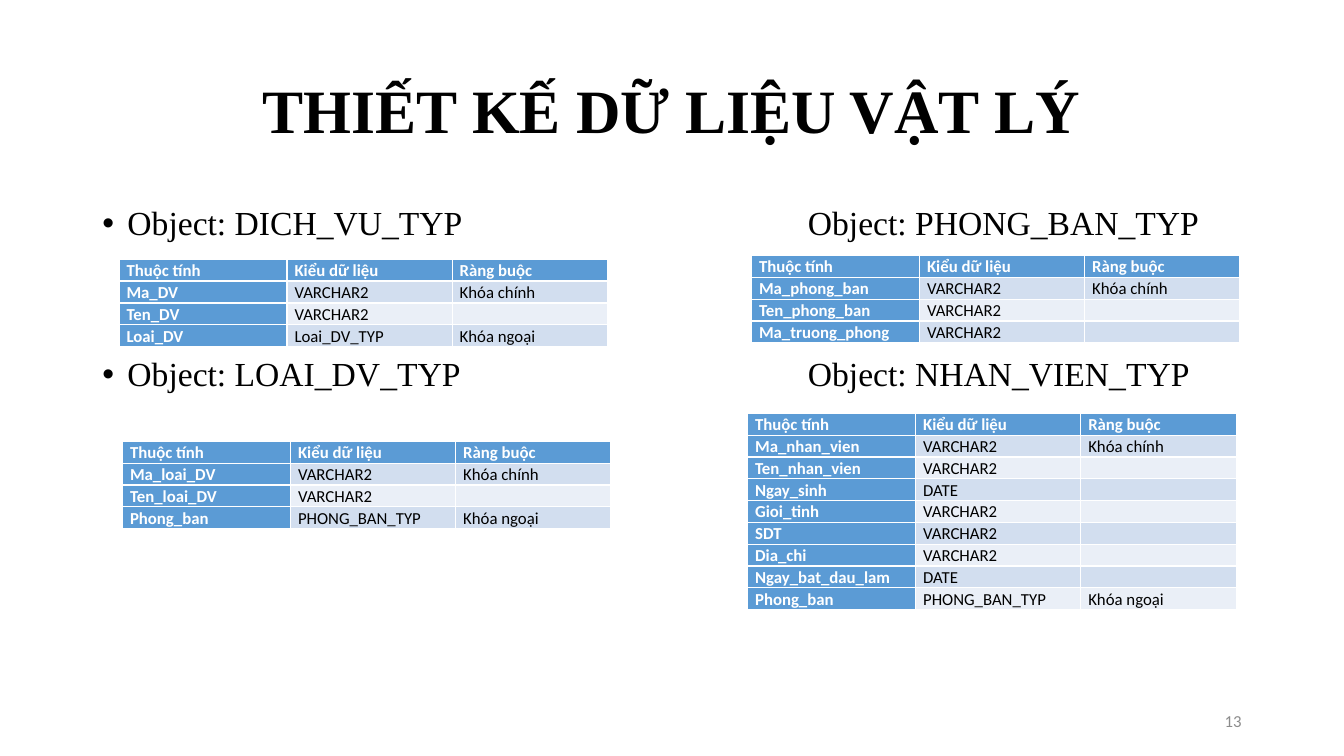
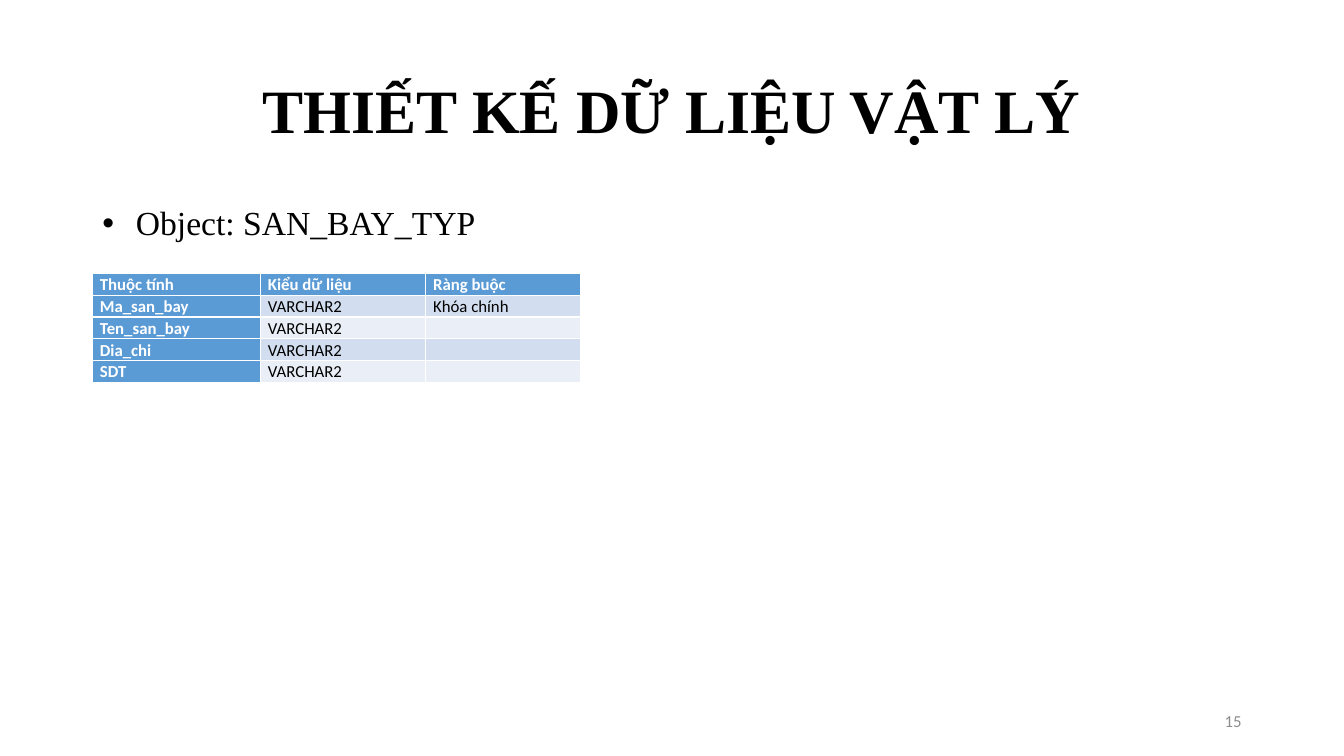
import pptx
import pptx.util
import pptx.dml.color
import pptx.enum.text
import pptx.oxml.ns
import lxml.etree

Pt = pptx.util.Pt
ALIGN = pptx.enum.text.PP_ALIGN
ANCHOR = pptx.enum.text.MSO_ANCHOR
qn = pptx.oxml.ns.qn

HUES = {"ink": "000000", "white": "FFFFFF", "head": "5B9BD5",
        "dark": "D2DEEF", "light": "EAEFF7", "page": "8C8C8C"}
SERIF, SANS = "Times New Roman", "Calibri"
TITLE = "THIẾT KẾ DỮ LIỆU VẬT LÝ"
HEADS = ("Thuộc tính", "Kiểu dữ liệu", "Ràng buộc")
WIDTHS = (120, 118, 111)
ROW = 15.6
KEY, REF = "Khóa chính", "Khóa ngoại"
VAR, DATE = "VARCHAR2", "DATE"
LEFT, RIGHT = 66, 570
TOP, LOW = 144, 252

# Headings: text, left, top, bullet indent (0 for no bullet).
# Tables: left, top, rows.
SLIDES = [
    {"page": "13",
     "heads": [("Object: DICH_VU_TYP", LEFT, TOP, 18),
               ("Object: PHONG_BAN_TYP", RIGHT, TOP, 0),
               ("Object: LOAI_DV_TYP", LEFT, LOW, 18),
               ("Object: NHAN_VIEN_TYP", RIGHT, LOW, 0)],
     "tables": [
         (85, 185.2, [("Ma_DV", VAR, KEY),
                      ("Ten_DV", VAR, ""),
                      ("Loai_DV", "Loai_DV_TYP", REF)]),
         (87.5, 315.3, [("Ma_loai_DV", VAR, KEY),
                        ("Ten_loai_DV", VAR, ""),
                        ("Phong_ban", "PHONG_BAN_TYP", REF)]),
         (536.8, 182.5, [("Ma_phong_ban", VAR, KEY),
                         ("Ten_phong_ban", VAR, ""),
                         ("Ma_truong_phong", VAR, "")]),
         (534, 295.2, [("Ma_nhan_vien", VAR, KEY),
                       ("Ten_nhan_vien", VAR, ""),
                       ("Ngay_sinh", DATE, ""),
                       ("Gioi_tinh", VAR, ""),
                       ("SDT", VAR, ""),
                       ("Dia_chi", VAR, ""),
                       ("Ngay_bat_dau_lam", DATE, ""),
                       ("Phong_ban", "PHONG_BAN_TYP", REF)])]},
    {"page": "15",
     "heads": [("Object: SAN_BAY_TYP", LEFT, TOP, 24)],
     "tables": [
         (66, 195.2, [("Ma_san_bay", VAR, KEY),
                      ("Ten_san_bay", VAR, ""),
                      ("Dia_chi", VAR, ""),
                      ("SDT", VAR, "")])]},
]


def write(para, text, size, face, hue, bold=False):
    """Add one styled run; an empty text only sets the line's size."""
    if not text:
        end = lxml.etree.SubElement(para._p, qn("a:endParaRPr"))
        end.set("sz", str(size * 100))
        return
    run = para.add_run()
    run.text = text
    run.font.size = Pt(size)
    run.font.name = face
    run.font.bold = bold
    run.font.color.rgb = pptx.dml.color.RGBColor.from_string(HUES[hue])


def frame(slide, left, top, width, height, anchor=ANCHOR.TOP):
    """Add a wrapping text box and give back its first paragraph."""
    box = slide.shapes.add_textbox(Pt(left), Pt(top), Pt(width), Pt(height))
    box.text_frame.word_wrap = True
    box.text_frame.vertical_anchor = anchor
    return box.text_frame.paragraphs[0]


deck = pptx.Presentation()
deck.slide_width, deck.slide_height = Pt(960), Pt(540)

for data in SLIDES:
    slide = deck.slides.add_slide(deck.slide_layouts[6])

    para = frame(slide, LEFT, 28.8, 828, 104.4, ANCHOR.MIDDLE)
    para.alignment = ALIGN.CENTER
    para.line_spacing = 0.9
    write(para, TITLE, 44, SERIF, "ink", True)

    for text, left, top, indent in data["heads"]:
        para = frame(slide, left, top, 340, 34)
        para.line_spacing = 0.9
        if indent:
            props = para._p.get_or_add_pPr()
            props.set("marL", str(Pt(indent)))
            props.set("indent", str(-Pt(indent)))
            font = lxml.etree.SubElement(props, qn("a:buFont"))
            font.set("typeface", "Arial")
            mark = lxml.etree.SubElement(props, qn("a:buChar"))
            mark.set("char", "•")
        write(para, text, 24, SERIF, "ink")

    for left, top, body in data["tables"]:
        rows = [HEADS] + body
        table = slide.shapes.add_table(
            len(rows), len(HEADS), Pt(left), Pt(top),
            Pt(sum(WIDTHS)), Pt(ROW * len(rows))).table
        table.first_col = True
        for col, width in zip(table.columns, WIDTHS):
            col.width = Pt(width)
        for r, row in enumerate(rows):
            table.rows[r].height = Pt(ROW)
            for c, text in enumerate(row):
                cell = table.cell(r, c)
                cell.margin_left = cell.margin_right = Pt(5.4)
                cell.margin_top = cell.margin_bottom = 0
                main = r == 0 or c == 0
                fill = "head" if main else "dark" if r % 2 else "light"
                cell.fill.solid()
                cell.fill.fore_color.rgb = (
                    pptx.dml.color.RGBColor.from_string(HUES[fill]))
                para = cell.text_frame.paragraphs[0]
                para.alignment = ALIGN.JUSTIFY
                para.line_spacing = 1.07
                write(para, text, 12, SANS, "white" if main else "ink", main)

    para = frame(slide, 678, 500.5, 216, 28.8, ANCHOR.MIDDLE)
    para.alignment = ALIGN.RIGHT
    write(para, data["page"], 12, SANS, "page")

deck.save("out.pptx")
